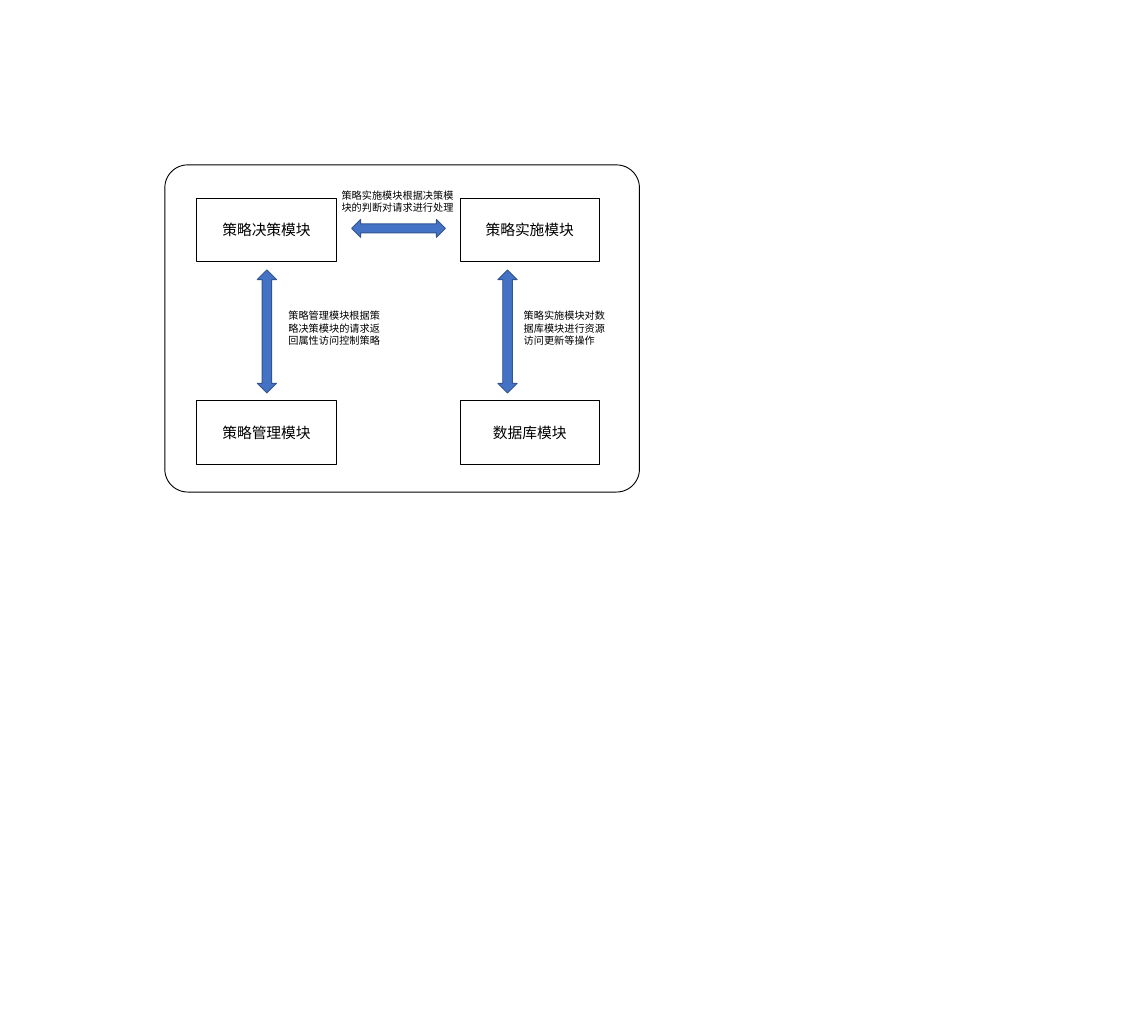
from pptx import Presentation
from pptx.dml.color import RGBColor
from pptx.enum.shapes import MSO_SHAPE as Shape
from pptx.enum.text import MSO_ANCHOR as Anchor, MSO_AUTO_SIZE as AutoSize, PP_ALIGN as Align
from pptx.util import Emu, Pt

PX = 9144
FONT = "Calibri"
BLACK, WHITE = "000000", "FFFFFF"
ARROW_FILL, ARROW_LINE = "4472C4", "325491"
MODULE_SIZE = (210, 95)


def px(*lengths):
    """Turn lengths in px into EMU."""
    return [Emu(length * PX) for length in lengths]


def color(hex_string):
    """Give the colour of a hex string."""
    return RGBColor.from_string(hex_string)


def add_outlined(page, preset, bounds, fill=WHITE, line=BLACK):
    """Add a flat preset shape with a thin outline."""
    shape = page.shapes.add_shape(preset, *px(*bounds))
    shape.shadow.inherit = False
    shape.fill.solid()
    shape.fill.fore_color.rgb = color(fill)
    shape.line.color.rgb = color(line)
    shape.line.width = Pt(1)
    return shape


def style(para, size, align):
    """Format a paragraph."""
    para.alignment = align
    para.font.size = Pt(size)
    para.font.name = FONT
    para.font.color.rgb = color(BLACK)


def add_module(page, left, top, name):
    """Add a module box with its centred name."""
    box = add_outlined(page, Shape.RECTANGLE, (left, top, *MODULE_SIZE))
    box.text_frame.vertical_anchor = Anchor.MIDDLE
    para = box.text_frame.paragraphs[0]
    para.text = name
    style(para, 16, Align.CENTER)


def add_arrow(page, bounds, rotation=0):
    """Add a two-way arrow."""
    arrow = add_outlined(page, Shape.UP_DOWN_ARROW, bounds, ARROW_FILL, ARROW_LINE)
    arrow.rotation = rotation


def add_note(page, bounds, lines):
    """Add a note with one paragraph per line."""
    frame = page.shapes.add_textbox(*px(*bounds)).text_frame
    frame.word_wrap = False
    frame.auto_size = AutoSize.SHAPE_TO_FIT_TEXT
    frame.text = "\n".join(lines)
    for para in frame.paragraphs:
        style(para, 11, Align.LEFT)


def main():
    """Build the access control module diagram."""
    deck = Presentation()
    deck.slide_width, deck.slide_height = px(1727, 1537)
    page = deck.slides.add_slide(deck.slide_layouts[6])

    panel = add_outlined(page, Shape.ROUNDED_RECTANGLE, (248, 248, 714, 492))
    panel.adjustments[0] = 0.07

    module_rows = [
        (298, ("策略决策模块", "策略实施模块")),
        (603, ("策略管理模块", "数据库模块")),
    ]
    for top, names in module_rows:
        for left, name in zip((296, 692), names):
            add_module(page, left, top, name)

    add_arrow(page, (586, 273, 27, 141), rotation=90)
    for left in (387, 749):
        add_arrow(page, (left, 406, 29, 185))

    add_note(page, (504, 280, 190, 47),
             ["策略实施模块根据决策模", "块的判断对请求进行处理"])
    add_note(page, (424, 461, 159, 66),
             ["策略管理模块根据策", "略决策模块的请求返", "回属性访问控制策略"])
    add_note(page, (778, 461, 144, 66),
             ["策略实施模块对数", "据库模块进行资源", "访问更新等操作"])

    deck.save("out.pptx")


if __name__ == "__main__":
    main()
